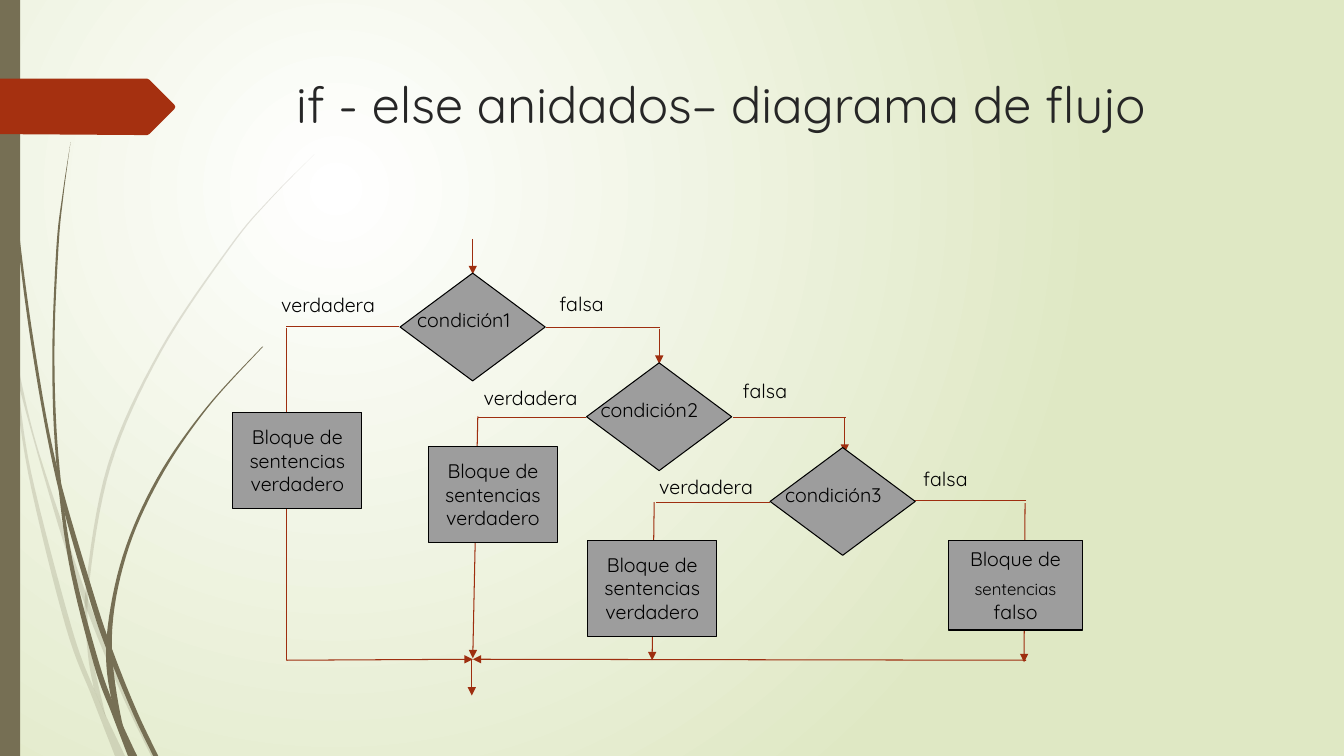
from lxml.etree import SubElement
from pptx import Presentation
from pptx.dml.color import RGBColor
from pptx.enum.shapes import MSO_CONNECTOR as Connector, MSO_SHAPE as Preset
from pptx.enum.text import MSO_ANCHOR as Anchor, MSO_AUTO_SIZE as AutoSize, PP_ALIGN as Align
from pptx.oxml.ns import qn
from pptx.util import Pt

COLORS = {
    "glow": "FFFFFF", "meadow": "DFE8C4", "stem": "766F54", "tag": "A53010",
    "flow": "9E2E0F", "box": "9D9D9D", "ink": "000000", "title": "262626",
}
FONT = "Quicksand"
CONDITION_SIZE = (103.7, 77)
TRUE_SIZE = (92.2, 68.4)
LABEL_SIZE = (116.6, 24.5)
LABEL_FRAME = {"word_wrap": True, "auto_size": AutoSize.SHAPE_TO_FIT_TEXT}
BLOCK_FRAME = {"word_wrap": True, "vertical_anchor": Anchor.MIDDLE}
TITLE_FRAME = {"word_wrap": True, "vertical_anchor": Anchor.TOP}

PALE_STEMS = [
    ([(0, 203), (10.1, 248.4), (24, 310), (44.6, 374.4), (66.2, 437), (91.4, 498.2), (111.6, 540)],
     [(108, 540), (88.6, 499.7), (63.4, 439.2), (41.8, 375.8), (12.2, 270.7), (0, 215.3)]),
    ([(7.9, 252), (12.2, 270.7), (22.3, 337.7), (50.4, 445.7), (67, 491.8), (89.3, 540)],
     [(82.1, 540), (66.2, 499), (46.8, 447.1), (20.2, 338.4), (7.9, 252)]),
    ([(224.6, 110.2), (193, 142.6), (164.9, 176.4), (115.2, 251.3), (79.2, 332.6), (63.4, 420.5),
      (65.5, 465.1), (75.6, 511.9)],
     [(67, 491.8), (62.6, 465.1), (61.2, 420.5), (77, 331.9), (113.8, 250.6), (164.2, 175.7),
      (193, 141.8), (224.6, 110.2)]),
]
DARK_STEMS = [
    ([(2.9, 0), (5.8, 78.5), (13.7, 167), (25.9, 255.6), (41, 335), (67, 424.8), (81.4, 467.3),
      (97.9, 508.3), (113, 540)],
     [(109.4, 540), (95, 509.8), (76.3, 464.4), (63.4, 426.2), (40.3, 343.4), (23.8, 255.6),
      (12.2, 167.8), (5, 79.2), (2.2, 0)]),
    ([(50.4, 101.5), (45.4, 139), (41.8, 176.4), (38.9, 251.3), (41.8, 326.2), (51.8, 400.3),
      (70.6, 473), (83.5, 508.3), (97.9, 540)],
     [(91.4, 540), (79.9, 509.8), (67, 474.5), (49, 401), (39.6, 323.3), (37.4, 251.3),
      (40.3, 176.4), (44.6, 139), (50.4, 101.5)]),
    ([(187.9, 247.7), (147.6, 292.3), (113.8, 342.7), (90, 397.4), (79.9, 455.8), (87.1, 515.5),
      (97.9, 540)],
     [(93.6, 540), (79.2, 497.5), (76.3, 454.3), (87.8, 396.7), (112.3, 341.3), (146.9, 291.6),
      (187.2, 247.7)]),
]
TAG = [(0, 56.2), (105.1, 56.2), (106.6, 56.9), (124.6, 74.9), (125.2, 76.4), (124.6, 77.8),
       (106.6, 95.8), (105.1, 96.5), (0, 95.8)]

ARROWS = [
    ((732.2, 359.3), (731.5, 473)), ((337.7, 170.6), (337.7, 195.8)),
    ((337, 470.9), (337, 496.8)), ((733, 471.6), (337.7, 470.9)),
    ((204.5, 471.6), (337.7, 470.9)), ((470.9, 234.7), (470.9, 259.9)),
    ((341.3, 297.4), (337.7, 470.2)), ((603.4, 298.8), (603.4, 323.3)),
    ((467.3, 358.6), (465.8, 471.6)),
]
BRANCHES = [
    ((471.6, 234), (390.2, 234)), ((204.5, 234), (204.5, 471.6)),
    ((285.1, 233.3), (204.5, 233.3)), ((604.1, 298.1), (523.4, 298.1)),
    ((418.3, 298.1), (341.3, 298.1)), ((550.1, 358.6), (468.7, 358.6)),
    ((733, 357.8), (651.6, 357.8)),
]
CONDITIONS = [(285.8, 195.1), (419, 259.2), (550.1, 319.7)]
TRUE_BLOCKS = [(166.3, 294.5), (306, 319), (419.8, 385.9)]
LABELS = {
    "condición1": [(290.9, 216.7)],
    "condición2": [(421.9, 280.8)],
    "condición3": [(553.7, 341.3)],
    "verdadera": [(193.7, 205.9), (338.4, 272.2), (463.7, 335.5)],
    "falsa": [(392.4, 205.2), (523.4, 267.1), (652.3, 329.8)],
}


def points(values):
    return [Pt(value) for value in values]


def rgb(name):
    return RGBColor.from_string(COLORS[name])


def apply_format(target, values):
    for name, value in values.items():
        setattr(target, name, value)


def paint(shape, fill, outline=None):
    shape.shadow.inherit = False
    shape.fill.solid()
    shape.fill.fore_color.rgb = rgb(fill)
    if outline:
        shape.line.color.rgb = rgb(outline)
        shape.line.width = Pt(0.75)
    else:
        shape.line.fill.background()


def write(shape, runs, frame_format, color="ink", align=Align.LEFT):
    frame = shape.text_frame
    apply_format(frame, frame_format)
    paragraph = frame.paragraphs[0]
    paragraph.alignment = align
    for text, size in runs:
        run = paragraph.add_run()
        run.text = text
        apply_format(run.font, {"name": FONT, "size": Pt(size)})
        run.font.color.rgb = rgb(color)


def smooth(knots, steps=8):
    padded = [knots[0], *knots, knots[-1]]
    curve = []
    for a, b, c, d in zip(padded, padded[1:], padded[2:], padded[3:]):
        for step in range(steps):
            t = step / steps
            curve.append(tuple(
                q + t * (r - p) / 2 + t**2 * (p - 2.5 * q + 2 * r - s / 2)
                + t**3 * (1.5 * (q - r) + (s - p) / 2)
                for p, q, r, s in zip(a, b, c, d)))
    return curve + [knots[-1]]


def add_outline(slide, corners, color, opacity=None):
    start, *rest = [points(corner) for corner in corners]
    builder = slide.shapes.build_freeform(*start)
    builder.add_line_segments(rest, close=True)
    outline = builder.convert_to_shape()
    paint(outline, color)
    if opacity:
        tint = outline.element.spPr.find(".//" + qn("a:srgbClr"))
        SubElement(tint, qn("a:alpha"), val=str(opacity * 1000))


def add_flow(slide, start, end, arrow=False):
    flow = slide.shapes.add_connector(Connector.STRAIGHT, *points(start + end))
    flow.line.color.rgb = rgb("flow")
    flow.line.width = Pt(0.75)
    properties = flow.element.spPr
    if arrow:
        SubElement(properties.find(qn("a:ln")), qn("a:tailEnd"), type="triangle")
    SubElement(properties, qn("a:effectLst"))


def add_node(slide, preset, place, size):
    node = slide.shapes.add_shape(preset, *points(place + size))
    paint(node, "box", "ink")
    return node


def add_block(slide, place, size, runs):
    block = add_node(slide, Preset.FLOWCHART_PROCESS, place, size)
    write(block, runs, BLOCK_FRAME, align=Align.CENTER)


def add_label(slide, place, size, text, font_size, frame_format, color):
    label = slide.shapes.add_textbox(*points(place + size))
    write(label, [(text, font_size)], frame_format, color)


def set_background(slide):
    fill = slide.background.fill
    fill.gradient()
    for stop, color in zip(fill.gradient_stops, ("glow", "meadow")):
        stop.color.rgb = rgb(color)
    gradient = slide.element.find(".//" + qn("a:gradFill"))
    gradient.remove(gradient.find(qn("a:lin")))
    circle = SubElement(gradient, qn("a:path"), path="circle")
    SubElement(circle, qn("a:fillToRect"), l="50000", t="50000", r="100000", b="100000")


def add_decoration(slide):
    for stems, opacity in ((PALE_STEMS, 20), (DARK_STEMS, None)):
        for outer, inner in stems:
            add_outline(slide, smooth(outer) + smooth(inner), "stem", opacity)
    bar = slide.shapes.add_shape(Preset.RECTANGLE, *points((0, 0, 14.4, 540)))
    paint(bar, "stem")
    add_outline(slide, TAG, "tag")


def add_flowchart(slide):
    for flows, arrow in ((ARROWS, True), (BRANCHES, False)):
        for start, end in flows:
            add_flow(slide, start, end, arrow)
    for place in CONDITIONS:
        add_node(slide, Preset.FLOWCHART_DECISION, place, CONDITION_SIZE)
    for place in TRUE_BLOCKS:
        add_block(slide, place, TRUE_SIZE, [("Bloque de sentencias verdadero", 14)])
    add_block(slide, (677.5, 385.9), (95.8, 64.1),
              [("Bloque de ", 14), ("sentencias", 12), (" ", 18), ("falso", 14)])
    for text, places in LABELS.items():
        for place in places:
            add_label(slide, place, LABEL_SIZE, text, 14, LABEL_FRAME, "ink")


def main():
    deck = Presentation()
    apply_format(deck, {"slide_width": Pt(960), "slide_height": Pt(540)})
    slide = deck.slides.add_slide(deck.slide_layouts[6])
    set_background(slide)
    add_decoration(slide)
    add_label(slide, (204.5, 49), (702, 100.8), "if - else anidados– diagrama de flujo",
              36, TITLE_FRAME, "title")
    add_flowchart(slide)
    deck.save("out.pptx")


if __name__ == "__main__":
    main()
